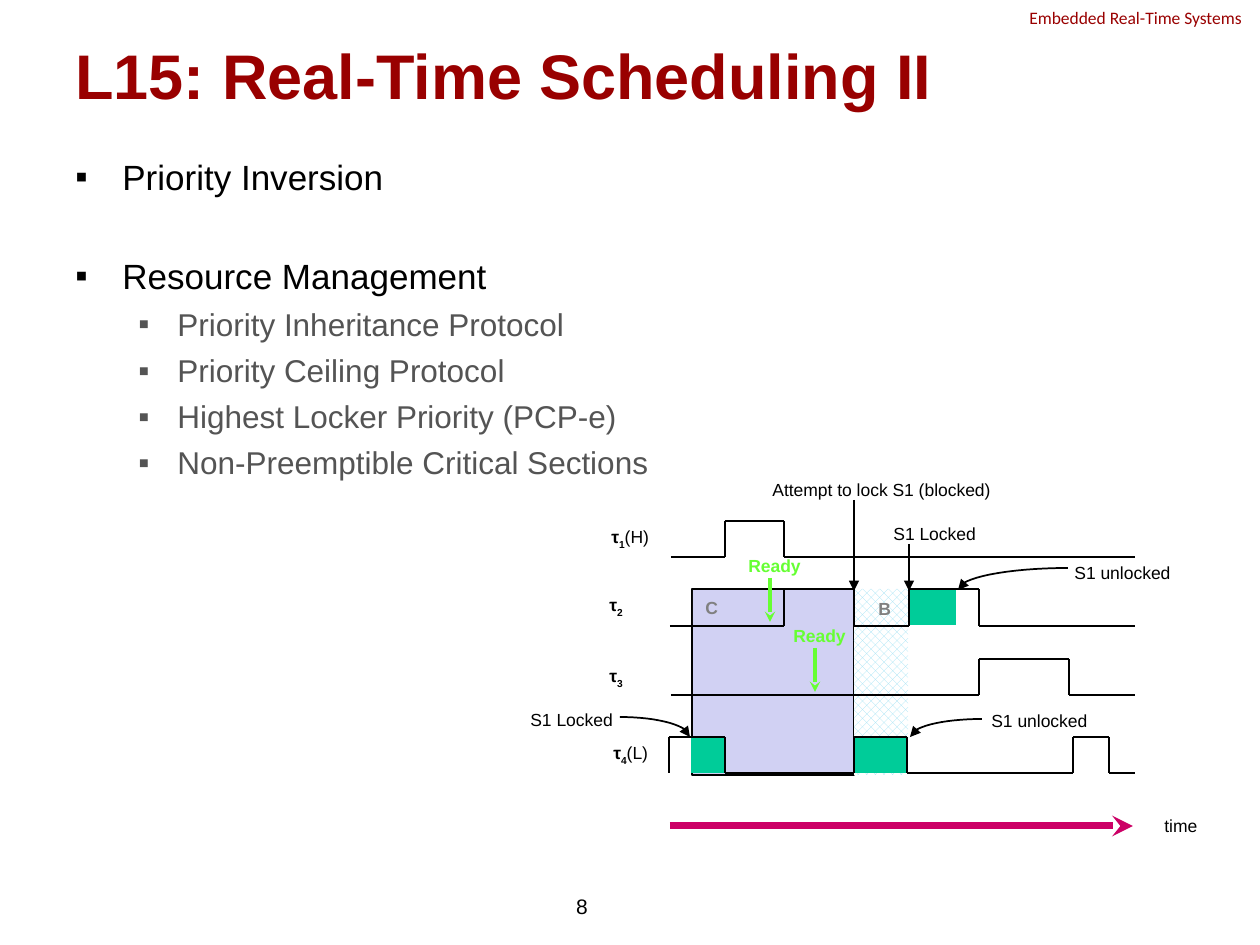
from itertools import pairwise

from lxml import etree
from pptx import Presentation
from pptx.dml.color import RGBColor
from pptx.enum.dml import MSO_PATTERN
from pptx.enum.shapes import MSO_CONNECTOR, MSO_SHAPE
from pptx.enum.text import MSO_ANCHOR, PP_ALIGN
from pptx.oxml.ns import qn
from pptx.util import Pt

EMU_PER_PX = 914400 / 126

BLACK = RGBColor(0x00, 0x00, 0x00)
WHITE = RGBColor(0xFF, 0xFF, 0xFF)
DARK_RED = RGBColor(0x99, 0x00, 0x00)
DARK_GRAY = RGBColor(0x54, 0x54, 0x54)
GRAY = RGBColor(0x80, 0x80, 0x80)
LAVENDER = RGBColor(0xA5, 0xA5, 0xE9)
PALE_LAVENDER = RGBColor(0xD1, 0xD1, 0xF3)
TEAL = RGBColor(0x00, 0xCC, 0x99)
SKY = RGBColor(0x9E, 0xE1, 0xF5)
LIME = RGBColor(0x66, 0xFF, 0x33)
MAGENTA = RGBColor(0xCC, 0x00, 0x66)

TIMELINE_END = 1135


def px(length):
    return round(length * EMU_PER_PX)


def set_font(font, size, color, bold=False, name="Arial"):
    font.name = name
    font.size = Pt(size)
    font.bold = bold
    font.color.rgb = color


def add_text(slide, box, text, size=10, color=BLACK, bold=False, name="Arial",
             align=PP_ALIGN.LEFT, anchor=MSO_ANCHOR.TOP, wrap=False):
    shape = slide.shapes.add_textbox(*map(px, box))
    frame = shape.text_frame
    frame.word_wrap = wrap
    frame.vertical_anchor = anchor
    paragraph = frame.paragraphs[0]
    paragraph.text = text
    paragraph.alignment = align
    set_font(paragraph.font, size, color, bold, name)
    return shape


def add_task_label(slide, box, number, suffix=""):
    shape = add_text(slide, box, "τ", bold=True)
    paragraph = shape.text_frame.paragraphs[0]
    subscript = paragraph.add_run()
    subscript.text = number
    subscript.font._element.set("baseline", "-25000")
    if suffix:
        run = paragraph.add_run()
        run.text = suffix
        run.font.bold = False


def add_bullets(slide, box, items):
    frame = slide.shapes.add_textbox(*map(px, box)).text_frame
    frame.word_wrap = True
    for index, (text, level, space_before) in enumerate(items):
        paragraph = frame.paragraphs[0] if index == 0 else frame.add_paragraph()
        paragraph.text = text
        paragraph.level = level
        paragraph.space_before = Pt(space_before)
        margin, hanging, size, color = ((47, 47, 20, BLACK), (102, 39, 18, DARK_GRAY))[level]
        properties = paragraph._p.get_or_add_pPr()
        properties.set("marL", str(px(margin)))
        properties.set("indent", str(-px(hanging)))
        etree.SubElement(properties, qn("a:buFont"), typeface="Arial")
        etree.SubElement(properties, qn("a:buChar"), char="▪")
        set_font(paragraph.font, size, color)


def add_rectangle(slide, box, color):
    shape = slide.shapes.add_shape(MSO_SHAPE.RECTANGLE, *map(px, box))
    shape.shadow.inherit = False
    shape.fill.solid()
    shape.fill.fore_color.rgb = color
    shape.line.fill.background()
    return shape


def make_half_transparent(shape):
    color = shape.fill._xPr.find(qn("a:solidFill"))[0]
    etree.SubElement(color, qn("a:alpha"), val="50000")


def style_line(line, color, width, arrowhead=None):
    line.color.rgb = color
    line.width = Pt(width)
    if arrowhead:
        etree.SubElement(line._get_or_add_ln(), qn("a:tailEnd"), type=arrowhead)


def add_line(slide, start, end, color=BLACK, width=1, arrowhead=None):
    connector = slide.shapes.add_connector(MSO_CONNECTOR.STRAIGHT, *map(px, (*start, *end)))
    style_line(connector.line, color, width, arrowhead)
    etree.SubElement(connector._element.spPr, qn("a:effectLst"))


def add_curved_arrow(slide, controls, segments=16):
    points = []
    for step in range(segments + 1):
        t = step / segments
        weights = ((1 - t) ** 3, 3 * t * (1 - t) ** 2, 3 * t ** 2 * (1 - t), t ** 3)
        points.append(tuple(
            px(sum(weight * value for weight, value in zip(weights, axis)))
            for axis in zip(*controls)))
    builder = slide.shapes.build_freeform(*points[0])
    builder.add_line_segments(points[1:], close=False)
    shape = builder.convert_to_shape()
    shape.shadow.inherit = False
    shape.fill.background()
    style_line(shape.line, BLACK, 1, "triangle")


def add_signal(slide, start, low, high, edges):
    points = [(start, low)]
    level, other = low, high
    for edge in edges:
        points += [(edge, level), (edge, other)]
        level, other = other, level
    points.append((TIMELINE_END, low))
    for begin, end in pairwise(points):
        if begin != end:
            add_line(slide, begin, end)


def add_regions(slide):
    critical = add_rectangle(slide, (692, 589, 162, 186), LAVENDER)
    make_half_transparent(critical)
    style_line(critical.line, BLACK, 0.75)
    badge = add_rectangle(slide, (693, 590, 38, 34), PALE_LAVENDER)
    make_half_transparent(badge)
    badge.text_frame.word_wrap = False
    paragraph = badge.text_frame.paragraphs[0]
    paragraph.text = "C"
    paragraph.alignment = PP_ALIGN.LEFT
    set_font(paragraph.font, 10, GRAY, True)
    blocked = add_rectangle(slide, (854, 589, 54, 186), WHITE)
    blocked.fill.patterned()
    blocked.fill.pattern = MSO_PATTERN.PERCENT_50
    blocked.fill.fore_color.rgb = SKY
    blocked.fill.back_color.rgb = WHITE
    for box in ((909, 589, 47, 36), (691, 737, 34, 36), (855, 737, 51, 36)):
        add_rectangle(slide, box, TEAL)


def add_tasks(slide):
    tasks = (
        ((599, 520, 64, 34), "1", "(H)", 671, 557, 521, (725, 784)),
        ((597, 588, 39, 34), "2", "", 670, 626, 589, (784, 854, 909, 979)),
        ((597, 659, 39, 34), "3", "", 671, 695, 659, (979, 1069)),
        ((601, 736, 63, 34), "4", "(L)", 669, 773, 737, (669, 725, 854, 907, 1073, 1109)),
    )
    for box, number, suffix, start, low, high, edges in tasks:
        add_task_label(slide, box, number, suffix)
        add_signal(slide, start, low, high, edges)


def add_events(slide):
    for left, top, width, text in (
        (518, 703, 108, "S1 Locked"),
        (979, 704, 122, "S1 unlocked"),
        (760, 473, 247, "Attempt to lock S1 (blocked)"),
        (1062, 556, 122, "S1 unlocked"),
        (881, 517, 108, "S1 Locked"),
        (1152, 809, 59, "time"),
    ):
        add_text(slide, (left, top, width, 34), text)
    for left, top in ((736, 549), (781, 619)):
        add_text(slide, (left, top, 78, 34), "Ready", color=LIME, bold=True)
        tip = left + 34
        add_line(slide, (tip, top + 29), (tip, top + 73), LIME, 2, "stealth")
    add_text(slide, (866, 592, 42, 35), "B", color=GRAY, bold=True)
    for x, top in ((854, 500), (909, 544)):
        add_line(slide, (x, top), (x, 591), arrowhead="triangle")
    for controls in (
        ((620, 717), (659, 717), (690, 726), (690, 737)),
        ((982, 719), (942, 719), (911, 727), (910, 737)),
        ((1068, 568), (1007, 568), (958, 578), (958, 590)),
    ):
        add_curved_arrow(slide, controls)
    add_line(slide, (670, 826), (1133, 826), MAGENTA, 4, "stealth")


def main():
    presentation = Presentation()
    presentation.slide_width = px(1260)
    presentation.slide_height = px(945)
    slide = presentation.slides.add_slide(presentation.slide_layouts[6])
    add_text(slide, (1017, 1, 286, 34), "Embedded Real-Time Systems",
             color=DARK_RED, name="Calibri", wrap=True)
    add_text(slide, (63, 38, 1134, 73), "L15: Real-Time Scheduling II", 36, DARK_RED, True,
             anchor=MSO_ANCHOR.MIDDLE, wrap=True)
    add_bullets(slide, (63, 149, 1134, 695), (
        ("Priority Inversion", 0, 0),
        ("Resource Management", 0, 33),
        ("Priority Inheritance Protocol", 1, 4.7),
        ("Priority Ceiling Protocol", 1, 4.7),
        ("Highest Locker Priority (PCP-e)", 1, 4.7),
        ("Non-Preemptible Critical Sections", 1, 4.7),
    ))
    add_text(slide, (306, 881, 294, 50), "8", 12, align=PP_ALIGN.RIGHT,
             anchor=MSO_ANCHOR.MIDDLE, wrap=True)
    add_regions(slide)
    add_tasks(slide)
    add_events(slide)
    presentation.save("out.pptx")


if __name__ == "__main__":
    main()
